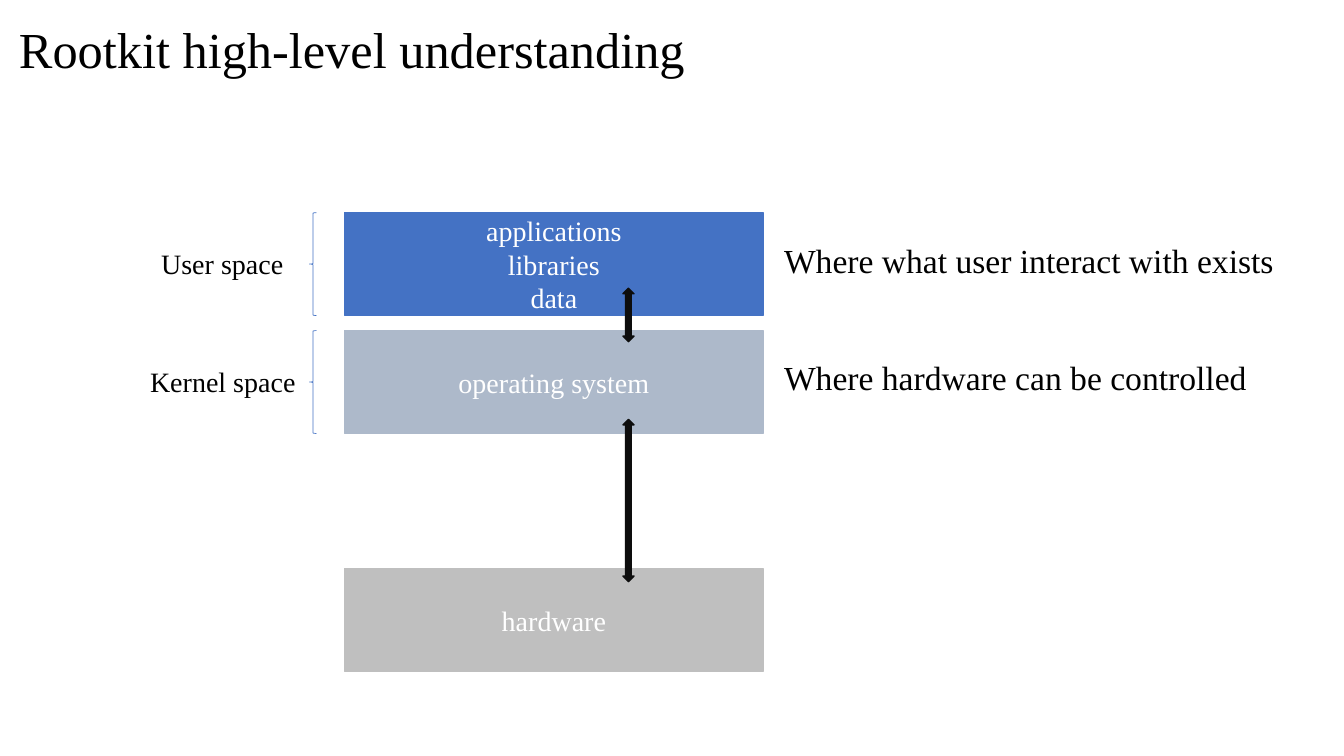
from dataclasses import dataclass

import pptx
import pptx.dml.color
import pptx.enum.shapes
import pptx.enum.text
import pptx.util

Pt = pptx.util.Pt
RGB = pptx.dml.color.RGBColor.from_string
SHAPE = pptx.enum.shapes.MSO_SHAPE
ALIGN = pptx.enum.text.PP_ALIGN
ANCHOR = pptx.enum.text.MSO_ANCHOR
AUTO_SIZE = pptx.enum.text.MSO_AUTO_SIZE


@dataclass(frozen=True)
class Theme:
    font: str = "Times New Roman"
    title_size: int = 36
    note_size: int = 24
    label_size: int = 20
    ink: str = "000000"
    on_fill: str = "FFFFFF"
    user: str = "4472C4"
    kernel: str = "ADB9CA"
    hardware: str = "BFBFBF"
    arrow: str = "0D0D0D"


theme = Theme()

deck = pptx.Presentation()
deck.slide_width, deck.slide_height = Pt(960), Pt(540)
slide = deck.slides.add_slide(deck.slide_layouts[6])


def add_figure(kind, left, top, width, height, line, line_width=1, fill=None):
    figure = slide.shapes.add_shape(kind, Pt(left), Pt(top), Pt(width), Pt(height))
    figure.shadow.inherit = False
    if fill:
        figure.fill.solid()
        figure.fill.fore_color.rgb = RGB(fill)
    else:
        figure.fill.background()
    figure.line.color.rgb = RGB(line)
    figure.line.width = Pt(line_width)
    return figure


def write(shape, lines, size, color, align=ALIGN.LEFT):
    """Fill the shape with one paragraph per line, all in the theme font."""
    frame = shape.text_frame
    frame.text = "\n".join(lines)
    for paragraph in frame.paragraphs:
        paragraph.alignment = align
        paragraph.font.name = theme.font
        paragraph.font.size = Pt(size)
        paragraph.font.color.rgb = RGB(color)
    return frame


# Layers of the system, top to bottom
layer_left, layer_width, layer_height = 246.24, 298.8, 73.44
user_top, kernel_top, hardware_top = 151.92, 236.16, 406.08
layers = [
    (user_top, theme.user, ["applications", "libraries", "data"]),
    (kernel_top, theme.kernel, ["operating system"]),
    (hardware_top, theme.hardware, ["hardware"]),
]
for top, color, contents in layers:
    layer = add_figure(SHAPE.RECTANGLE, layer_left, top, layer_width, layer_height,
                       color, fill=color)
    frame = write(layer, contents, theme.label_size, theme.on_fill, ALIGN.CENTER)
    frame.vertical_anchor = ANCHOR.MIDDLE

# Braces beside the two software spaces
for top in (user_top, kernel_top):
    add_figure(SHAPE.LEFT_BRACE, 221.04, top, 5.04, layer_height, theme.user, 0.5)

# Exchanges between neighbouring layers
for top, height in ((205.92, 38.16), (299.52, 115.92)):
    add_figure(SHAPE.UP_DOWN_ARROW, 444.96, top, 7.92, height,
               theme.arrow, fill=theme.arrow)

# Names of the spaces on the left, explanations on the right
captions = [
    ("User space", 108, 172.8, 102.24, 31.68, theme.label_size),
    ("Kernel space", 100.08, 257.04, 119.52, 31.68, theme.label_size),
    ("Where what user interact with exists", 552.96, 167.76, 374.4, 36, theme.note_size),
    ("Where hardware can be controlled", 552.96, 251.28, 356.4, 36, theme.note_size),
]
for words, left, top, width, height, size in captions:
    caption = slide.shapes.add_textbox(Pt(left), Pt(top), Pt(width), Pt(height))
    frame = write(caption, [words], size, theme.ink)
    frame.word_wrap = False
    frame.auto_size = AUTO_SIZE.SHAPE_TO_FIT_TEXT

title = slide.shapes.add_textbox(Pt(6.48), Pt(2.88), Pt(828), Pt(68.4))
frame = write(title, ["Rootkit high-level understanding"], theme.title_size, theme.ink)
frame.word_wrap = True
frame.vertical_anchor = ANCHOR.MIDDLE
frame.paragraphs[0].line_spacing = 0.9

deck.save("out.pptx")
